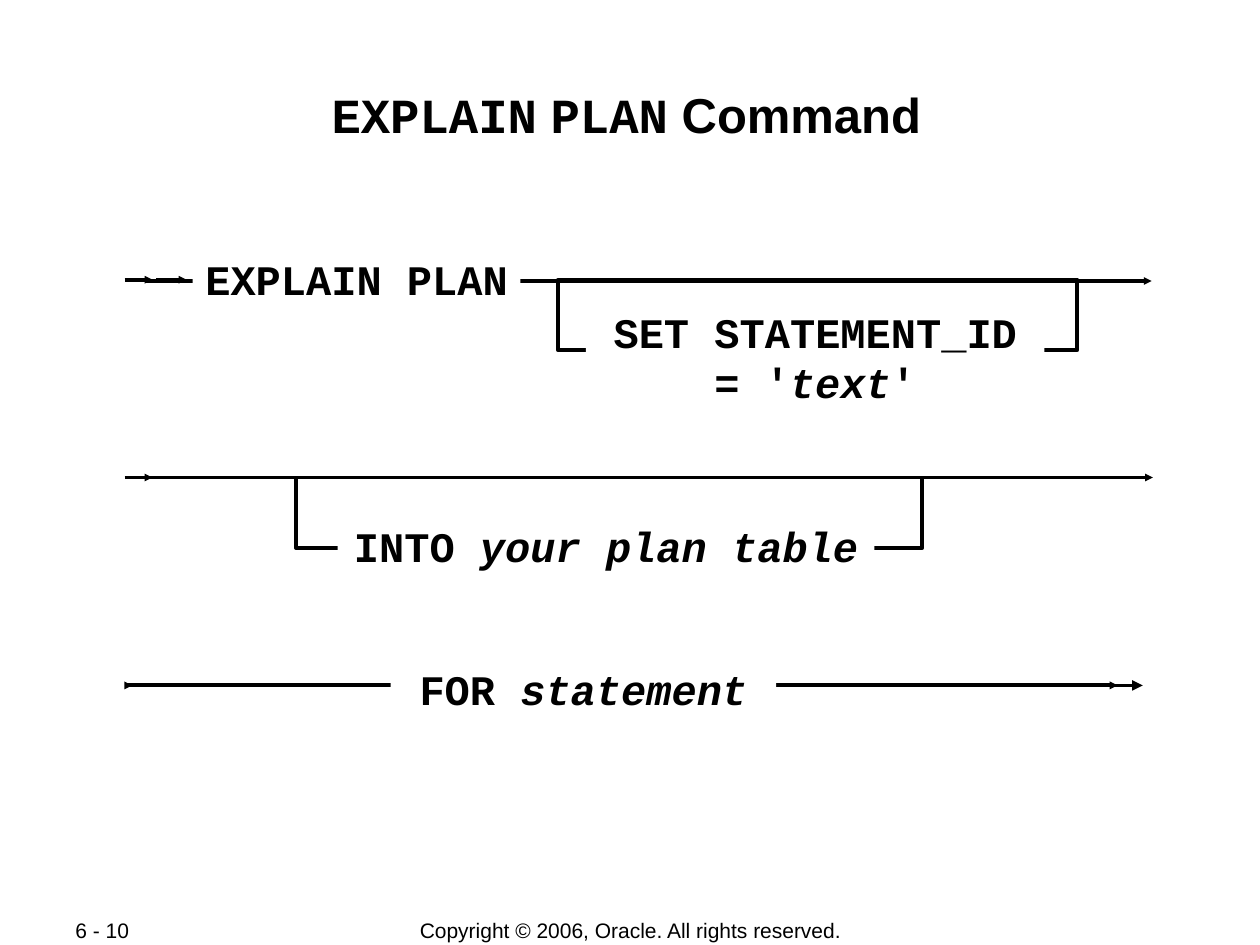
from lxml.etree import SubElement
from pptx import Presentation
from pptx.dml.color import RGBColor
from pptx.enum.shapes import MSO_CONNECTOR as Connector, MSO_SHAPE as Shape
from pptx.enum.text import MSO_ANCHOR as Anchor, PP_ALIGN as Align
from pptx.oxml.ns import qn
from pptx.util import Inches, Pt

COLORS = {"ink": "000000", "paper": "FFFFFF"}
SANS, MONO = "Arial", "Courier New"

TITLE = [("EXPLAIN", {"font": MONO}), (" ", {}), ("PLAN", {"font": MONO}), (" Command", {})]
FOOTERS = [
    ("6 - 10", (0.5, 7.28, 1.06, 0.2), Align.LEFT),
    ("Copyright © 2006, Oracle. All rights reserved.", (2.76, 7.28, 4.49, 0.21), Align.CENTER),
]
ITALIC = {"italic": True}
CLAUSES = [
    {
        "branch": (4.43, 2.22, 4.12, 0.56),
        "label": (4.65, 2.38, 3.64, 0.9),
        "words": [("SET STATEMENT_ID\v= '", {}), ("text", ITALIC), ("'", {})],
        "arrows": [(1.15, 9.14, 2.23), (0.99, 1.21, 2.22), (1.24, 1.48, 2.22)],
        "keyword": (1.53, 1.96, 2.6, 0.5),
        "keyword_words": [("EXPLAIN PLAN", {})],
    },
    {
        "branch": (2.35, 3.79, 4.97, 0.56),
        "label": (2.68, 4.08, 4.26, 0.5),
        "words": [("INTO ", {}), ("your plan table", ITALIC)],
        "arrows": [(1.17, 9.15, 3.79), (0.99, 1.21, 3.79)],
    },
    {
        "arrows": [(0.99, 8.87, 5.44), (1.0, 1.05, 5.44), (8.82, 9.07, 5.44, 2, "med")],
        "keyword": (3.1, 5.22, 3.06, 0.5),
        "keyword_words": [("FOR ", {}), ("statement", ITALIC)],
    },
]


def color(name):
    return RGBColor.from_string(COLORS[name])


def write(shape, words, font=SANS, size=12, bold=False, align=Align.CENTER,
          anchor=Anchor.TOP, margins=(0.1, 0.05), wrap=True, spacing=None):
    frame = shape.text_frame
    frame.word_wrap, frame.vertical_anchor = wrap, anchor
    frame.margin_left = frame.margin_right = Inches(margins[0])
    frame.margin_top = frame.margin_bottom = Inches(margins[1])
    paragraph = frame.paragraphs[0]
    paragraph.alignment, paragraph.space_before = align, Pt(0)
    paragraph.line_spacing = spacing
    for text, style in words:
        for index, part in enumerate(text.split("\v")):
            if index:
                paragraph.add_line_break()
            run = paragraph.add_run()
            run.text = part
            run.font.name, run.font.size = style.get("font", font), Pt(size)
            run.font.bold, run.font.italic = bold, style.get("italic", False)
            run.font.color.rgb = color("ink")


def add_box(slide, place, outlined=False):
    box = slide.shapes.add_shape(Shape.RECTANGLE, *map(Inches, place))
    box.shadow.inherit = False
    box.fill.solid()
    box.fill.fore_color.rgb = color("paper")
    if outlined:
        box.line.color.rgb, box.line.width = color("ink"), Pt(2.25)
    else:
        box.line.fill.background()
    return box


def add_label(slide, place, words):
    write(add_box(slide, place), words, font=MONO, size=24, bold=True, spacing=Pt(28.8))


def add_arrow(slide, start, end, y, width=2.25, head="sm"):
    arrow = slide.shapes.add_connector(Connector.STRAIGHT, *map(Inches, (start, y, end, y)))
    arrow.line.color.rgb, arrow.line.width = color("ink"), Pt(width)
    SubElement(arrow.line._get_or_add_ln(), qn("a:tailEnd"), type="triangle", w=head, len=head)
    SubElement(arrow._element.spPr, qn("a:effectLst"))


def main():
    """Build the syntax diagram slide for the EXPLAIN PLAN command."""
    deck = Presentation()
    deck.slide_width, deck.slide_height = Inches(10), Inches(7.5)
    slide = deck.slides.add_slide(deck.slide_layouts[5])

    title = slide.shapes.title
    title.left, title.top, title.width, title.height = map(Inches, (0.97, 0.66, 8, 0.91))
    write(title, TITLE, size=28, bold=True, margins=(0.01, 0.01))

    for text, place, align in FOOTERS:
        footer = slide.shapes.add_textbox(*map(Inches, place))
        write(footer, [(text, {})], align=align, anchor=Anchor.MIDDLE, wrap=False)

    for clause in CLAUSES:
        if "branch" in clause:
            add_box(slide, clause["branch"], outlined=True)
            add_label(slide, clause["label"], clause["words"])
        for arrow in clause["arrows"]:
            add_arrow(slide, *arrow)
        if "keyword" in clause:
            add_label(slide, clause["keyword"], clause["keyword_words"])

    deck.save("out.pptx")


if __name__ == "__main__":
    main()
